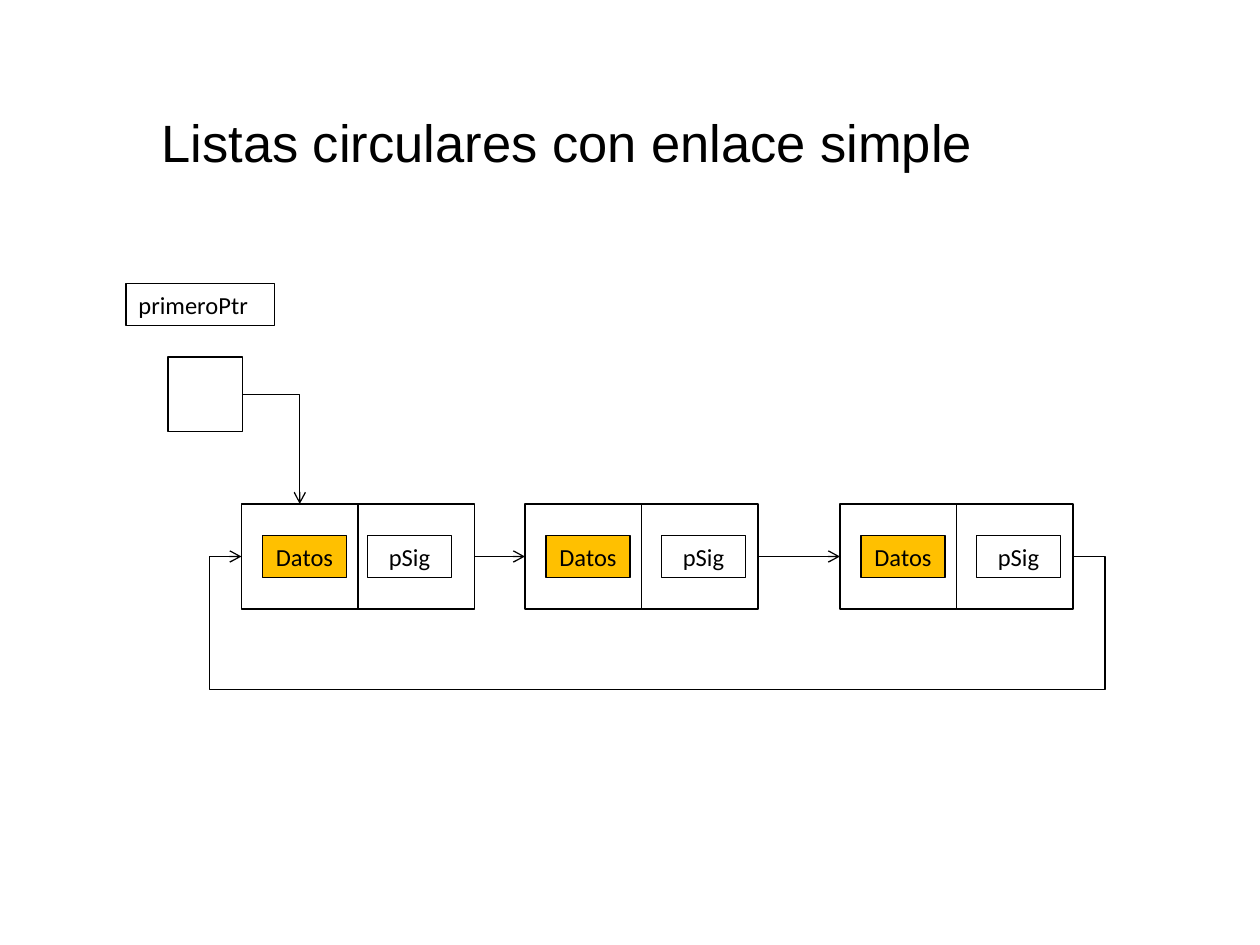
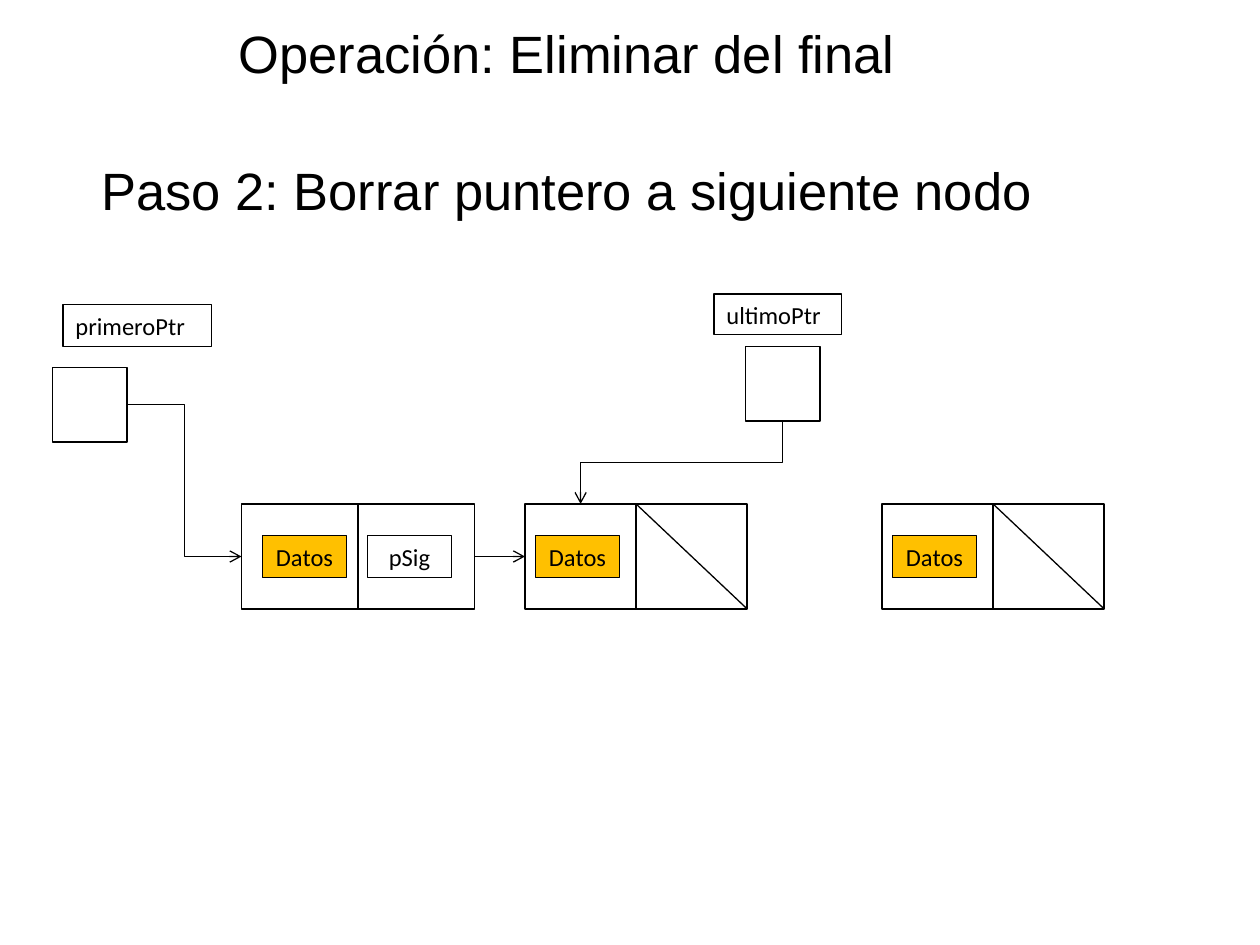
from lxml.etree import SubElement
from pptx import Presentation
from pptx.dml.color import RGBColor
from pptx.enum.shapes import MSO_CONNECTOR as Connector, MSO_SHAPE as Preset
from pptx.enum.text import MSO_ANCHOR as Anchor, MSO_AUTO_SIZE as AutoSize, PP_ALIGN as Align
from pptx.oxml.ns import qn
from pptx.util import Pt

COLORS = {"ink": "000000", "paper": "FFFFFF", "data": "FFC000"}
LINE_WIDTH = 0.75

# Node geometry, in points
NODE_TOP, NODE_HEIGHT = 288, 60
NODE_MIDDLE = NODE_TOP + NODE_HEIGHT / 2
LINKED_CELL, NULL_CELL = 66.6, 63.5
LABEL_WIDTH, LABEL_HEIGHT = 48, 24
POINTER_SIZE = 42.6

# Connection sites of a rectangle
TOP, LEFT, BOTTOM, RIGHT = range(4)


def color(name):
    return RGBColor.from_string(COLORS[name])


def write(shape, text, font="Calibri", size=14, align=Align.CENTER,
          anchor=Anchor.TOP, space_after=10):
    frame = shape.text_frame
    frame.word_wrap = True
    frame.auto_size = AutoSize.NONE
    frame.vertical_anchor = anchor
    paragraph = frame.paragraphs[0]
    paragraph.alignment = align
    paragraph.space_after = Pt(space_after)
    run = paragraph.add_run()
    run.text = text
    run.font.name = font
    run.font.size = Pt(size)
    run.font.color.rgb = color("ink")


def write_heading(shape, text):
    write(shape, text, font="Arial", size=30, anchor=Anchor.MIDDLE, space_after=0)


def add_titled_slide(presentation, text, top, height):
    slide = presentation.slides.add_slide(presentation.slide_layouts[5])
    title = slide.shapes.title
    title.left, title.top = Pt(0), Pt(top)
    title.width, title.height = Pt(648), Pt(height)
    write_heading(title, text)
    return slide


def draw_line(shape, arrow=False):
    shape.line.color.rgb = color("ink")
    shape.line.width = Pt(LINE_WIDTH)
    if arrow:
        outline = shape.element.spPr.find(qn("a:ln"))
        SubElement(outline, qn("a:tailEnd"), type="arrow")


def add_box(shapes, left, top, width, height, text=None, fill="paper", **text_format):
    box = shapes.add_shape(Preset.RECTANGLE, Pt(left), Pt(top), Pt(width), Pt(height))
    box.shadow.inherit = False
    box.fill.solid()
    box.fill.fore_color.rgb = color(fill)
    draw_line(box)
    if text:
        write(box, text, **text_format)
    return box


def add_straight(shapes, start_x, start_y, end_x, end_y, kind=Connector.STRAIGHT):
    connector = shapes.add_connector(kind, Pt(start_x), Pt(start_y), Pt(end_x), Pt(end_y))
    SubElement(connector.element.spPr, qn("a:effectLst"))
    draw_line(connector)
    return connector


def add_arrow(slide, start, start_site, end, end_site, kind=Connector.STRAIGHT):
    """Arrow glued to two boxes."""
    connector = add_straight(slide.shapes, 0, 0, 0, 0, kind)
    connector.begin_connect(start, start_site)
    connector.end_connect(end, end_site)
    draw_line(connector, arrow=True)
    return connector


def make_corner(connector):
    """Give an elbow a single bend."""
    connector.element.spPr.find(qn("a:prstGeom")).set("prst", "bentConnector2")


def turn_downward(connector):
    """Turn an elbow by 90 degrees, so that it leaves down and ends at the lower left."""
    left, top, width, height = connector.left, connector.top, connector.width, connector.height
    connector.left = left + (width - height) // 2
    connector.top = top + (height - width) // 2
    connector.width, connector.height = height, width
    transform = connector.element.spPr.find(qn("a:xfrm"))
    transform.attrib.pop("flipH", None)
    transform.set("rot", "5400000")


def add_loop(slide, points):
    """Open path through the points with an arrowhead at its end."""
    (start_x, start_y), *others = [(Pt(x), Pt(y)) for x, y in points]
    builder = slide.shapes.build_freeform(start_x, start_y)
    builder.add_line_segments(others, close=False)
    loop = builder.convert_to_shape()
    loop.shadow.inherit = False
    loop.fill.background()
    draw_line(loop, arrow=True)


def add_node(slide, left, cell_width, data_offset=12, link_offset=None):
    """Two-cell node; without link_offset its link is null. Returns both cells."""
    shapes = slide.shapes.add_group_shape().shapes
    link_left = left + cell_width
    cells = [add_box(shapes, x, NODE_TOP, cell_width, NODE_HEIGHT) for x in (left, link_left)]
    labels = [("Datos", data_offset, "data")]
    if link_offset is None:
        add_straight(shapes, link_left, NODE_TOP, link_left + cell_width, NODE_TOP + NODE_HEIGHT)
    else:
        labels.append(("pSig", link_offset, "paper"))
    for text, offset, fill in labels:
        add_box(shapes, left + offset, NODE_MIDDLE - LABEL_HEIGHT / 2,
                LABEL_WIDTH, LABEL_HEIGHT, text, fill)
    return cells


def add_pointer(slide, name, label_box, left, top):
    """Named pointer: a label and an empty square, which is returned."""
    add_box(slide.shapes, *label_box, name, align=Align.LEFT)
    return add_box(slide.shapes, left, top, POINTER_SIZE, POINTER_SIZE)


def build_circular_list(presentation):
    slide = add_titled_slide(presentation, "Listas circulares con enlace simple", 30, 102)
    first = add_pointer(slide, "primeroPtr", (72, 162, 85, 24), 96, 204)
    nodes = [add_node(slide, left, LINKED_CELL, link_offset=offset)
             for left, offset in ((138, 72), (300, 78), (480, 78))]
    make_corner(add_arrow(slide, first, RIGHT, nodes[0][0], TOP, Connector.ELBOW))
    for node, following in zip(nodes, nodes[1:]):
        add_arrow(slide, node[1], RIGHT, following[0], LEFT)
    # Link from the last node back to the first
    start, end, reach, bottom = 480 + 2 * LINKED_CELL, 138, 18.3, 394
    add_loop(slide, [(start, NODE_MIDDLE), (start + reach, NODE_MIDDLE),
                     (start + reach, bottom), (end - reach, bottom),
                     (end - reach, NODE_MIDDLE), (end, NODE_MIDDLE)])


def build_removal_step(presentation):
    slide = add_titled_slide(presentation, "Operación: Eliminar del final", 0, 60)
    step = slide.shapes.add_textbox(Pt(0), Pt(78), Pt(648), Pt(60))
    write_heading(step, "Paso 2: Borrar puntero a siguiente nodo")
    first = add_pointer(slide, "primeroPtr", (36, 174, 85, 24), 30, 210)
    last = add_pointer(slide, "ultimoPtr", (408, 168, 73, 23), 426, 198)
    head = add_node(slide, 138, LINKED_CELL, link_offset=72)
    tail, _ = [add_node(slide, left, NULL_CELL, data_offset=6) for left in (300, 504)]
    add_arrow(slide, first, RIGHT, head[0], LEFT, Connector.ELBOW)
    turn_downward(add_arrow(slide, last, BOTTOM, tail[0], TOP, Connector.ELBOW))
    add_arrow(slide, head[1], RIGHT, tail[0], LEFT)


def main():
    presentation = Presentation()
    presentation.slide_width, presentation.slide_height = Pt(720), Pt(540)
    build_circular_list(presentation)
    build_removal_step(presentation)
    presentation.save("out.pptx")


if __name__ == "__main__":
    main()
